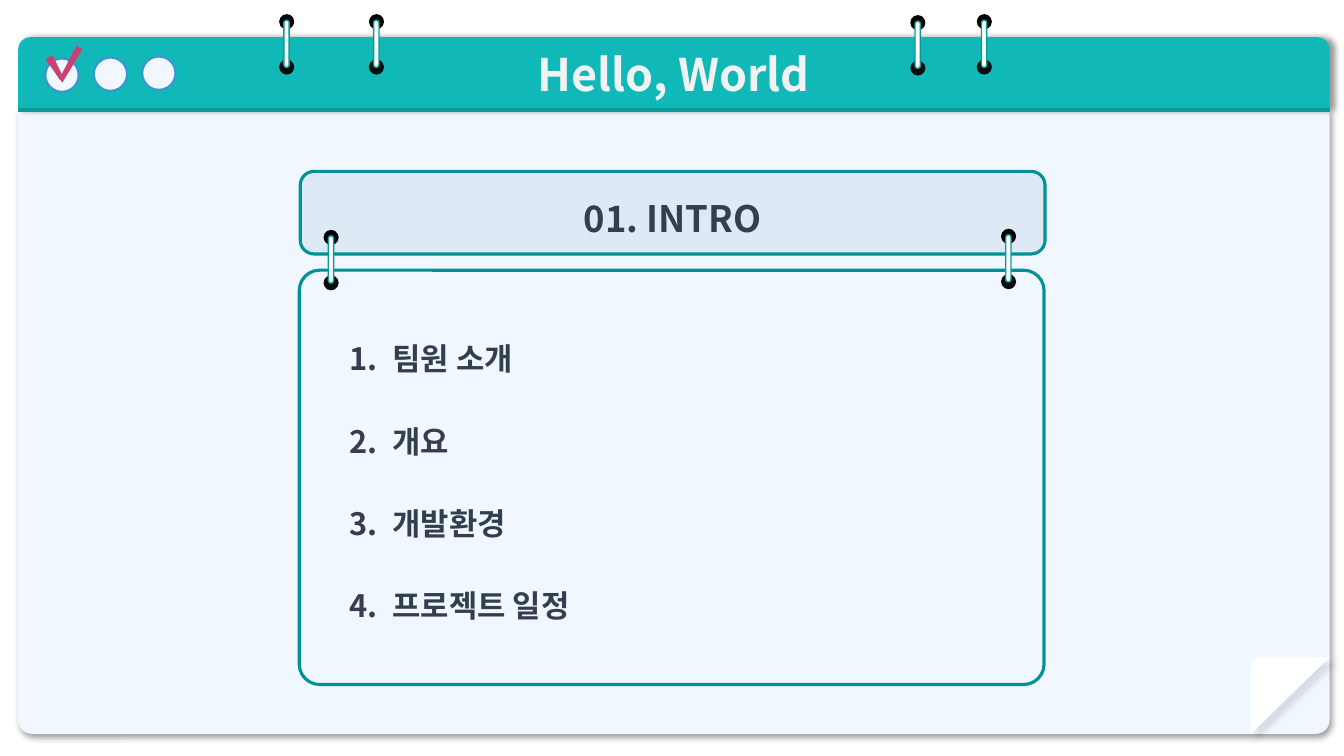
from dataclasses import dataclass

from lxml.etree import SubElement
from pptx import Presentation
from pptx.dml.color import RGBColor
from pptx.enum.shapes import MSO_CONNECTOR, MSO_SHAPE
from pptx.enum.text import MSO_ANCHOR, MSO_AUTO_SIZE, PP_ALIGN
from pptx.oxml.ns import qn
from pptx.shapes.autoshape import Shape
from pptx.slide import Slide
from pptx.text.text import TextFrame
from pptx.util import Pt

FONT = "Noto Sans CJK KR"
COLORS = {
    "page": "F0F7FF", "header": "10B8B7", "rule": "0D9A97", "heading": "F2F2F2",
    "button": "3E93D3", "check": "C84374", "white": "FFFFFF", "black": "000000",
    "ink": "0C0C0C", "card": "DDEAF6", "border": "009297", "text": "323F4F",
}
TOPICS = ["팀원 소개", "개요", "개발환경", "프로젝트 일정"]


@dataclass(frozen=True)
class Box:
    """Position and size in points."""
    left: float
    top: float
    width: float
    height: float


@dataclass(frozen=True)
class Shadow:
    """Outer shadow: opacity in percent, blur and distance in points, angle in degrees."""
    opacity: int
    blur: float
    distance: float
    angle: int


@dataclass(frozen=True)
class Ring:
    """Top left corner of a binder ring in points."""
    left: float
    top: float


PAGE = Box(13, 78.5, 936.7, 445.7)
HEADER = Box(13, 26.6, 936.7, 51.8)
INTRO = Box(214.5, 122.4, 532, 59)
AGENDA = Box(213.8, 193, 532, 295.9)
TOPIC_LIST = Box(249.5, 193, 480, 295.9)
BUTTONS = [Box(32.4 + 34.6 * step, 41.8 - 0.7 * step, 23.8, 23.8) for step in range(3)]
CHECK_SHORT = Box(36.7, 39.6, 5.8, 18)
CHECK_LONG = [(59, 35.3), (44.6, 59), (42.5, 56.2), (54.7, 32.4)]
FOLD = [(893.5, 524.2), (893.5, 475.9), (895.3, 471.2), (900, 469.4), (949.7, 469.4)]
TOP_RINGS = [Ring(263.5, 10.1), Ring(199.4, 10.1), Ring(650.2, 10.8), Ring(697.7, 10.1)]
CARD_RINGS = [Ring(715, 163.4), Ring(231.1, 164.2)]


def color(name: str) -> RGBColor:
    """Look up a named colour."""
    return RGBColor.from_string(COLORS[name])


def paint(shape: Shape, fill: str | None, line: str | None = None, weight: float = 1) -> None:
    """Set fill and outline and drop the theme shadow."""
    shape.shadow.inherit = False
    if fill:
        shape.fill.solid()
        shape.fill.fore_color.rgb = color(fill)
    else:
        shape.fill.background()
    if line:
        shape.line.color.rgb = color(line)
        shape.line.width = Pt(weight)
    else:
        shape.line.fill.background()


def add_block(slide: Slide, kind: MSO_SHAPE, box: Box, fill: str | None,
              line: str | None = None, weight: float = 1,
              corners: tuple[float, ...] = ()) -> Shape:
    """Add a painted preset shape."""
    block = slide.shapes.add_shape(
        kind, Pt(box.left), Pt(box.top), Pt(box.width), Pt(box.height))
    for index, corner in enumerate(corners):
        block.adjustments[index] = corner
    paint(block, fill, line, weight)
    return block


def add_outline(slide: Slide, points: list[tuple[float, float]], fill: str) -> Shape:
    """Add a closed, filled polygon."""
    builder = slide.shapes.build_freeform(Pt(points[0][0]), Pt(points[0][1]))
    builder.add_line_segments([(Pt(x), Pt(y)) for x, y in points[1:]], close=True)
    outline = builder.convert_to_shape()
    paint(outline, fill)
    return outline


def cast_shadow(shape: Shape, shadow: Shadow) -> None:
    """Give a painted shape an outer shadow."""
    effects = shape.element.spPr.find(qn("a:effectLst"))
    outer = SubElement(
        effects, qn("a:outerShdw"), blurRad=str(Pt(shadow.blur)),
        dist=str(Pt(shadow.distance)), dir=str(shadow.angle * 60000),
        algn="tl", rotWithShape="0")
    tint = SubElement(outer, qn("a:srgbClr"), val=COLORS["black"])
    SubElement(tint, qn("a:alpha"), val=str(shadow.opacity * 1000))


def format_text(frame: TextFrame, size: float, tint: str, align: PP_ALIGN,
                spacing: float = 1) -> None:
    """Format every run and paragraph of a text frame."""
    frame.word_wrap = True
    frame.auto_size = MSO_AUTO_SIZE.NONE
    frame.vertical_anchor = MSO_ANCHOR.MIDDLE
    for paragraph in frame.paragraphs:
        paragraph.alignment = align
        paragraph.line_spacing = spacing
        paragraph.space_before = Pt(0)
        for run in paragraph.runs:
            run.font.size = Pt(size)
            run.font.bold = True
            run.font.color.rgb = color(tint)
            run.font.name = FONT
            SubElement(run.font._element, qn("a:ea"), typeface=FONT)


def place_on_top(shape: Shape, box: Box) -> None:
    """Move a placeholder to a box, in front of everything else."""
    shape.left, shape.top = Pt(box.left), Pt(box.top)
    shape.width, shape.height = Pt(box.width), Pt(box.height)
    shape.element.getparent().append(shape.element)


def add_ring(slide: Slide, ring: Ring) -> None:
    """Add two holes joined by a rod."""
    for drop, fill in ((32.4, "ink"), (0, "black")):
        add_block(slide, MSO_SHAPE.OVAL, Box(ring.left, ring.top + drop, 10.8, 10.8), fill)
    add_block(slide, MSO_SHAPE.ROUNDED_RECTANGLE,
              Box(ring.left + 3.4, ring.top + 4.3, 3.8, 33.8), "white", "rule", 1, (0.5,))


def add_window(slide: Slide) -> None:
    """Draw the window with its header, buttons, check mark and folded corner."""
    page = add_block(slide, MSO_SHAPE.ROUND_2_SAME_RECTANGLE, PAGE, "page", corners=(0, 0.022))
    cast_shadow(page, Shadow(40, 4, 3, 45))
    header = add_block(slide, MSO_SHAPE.ROUND_2_SAME_RECTANGLE, HEADER, "header",
                       corners=(0.167, 0))
    cast_shadow(header, Shadow(40, 4, 3, 0))
    rule = slide.shapes.add_connector(
        MSO_CONNECTOR.STRAIGHT, Pt(PAGE.left), Pt(PAGE.top),
        Pt(PAGE.left + PAGE.width), Pt(PAGE.top))
    rule.line.color.rgb = color("rule")
    rule.line.width = Pt(2.5)
    SubElement(rule.element.spPr, qn("a:effectLst"))
    for button in BUTTONS:
        add_block(slide, MSO_SHAPE.OVAL, button, "page", "button", 1.5)
    check = add_block(slide, MSO_SHAPE.TRAPEZOID, CHECK_SHORT, "check", corners=(0.25,))
    check.rotation = 150
    add_outline(slide, CHECK_LONG, "check")
    cast_shadow(add_outline(slide, FOLD, "white"), Shadow(9, 4, 6, 45))


def add_cards(slide: Slide) -> None:
    """Draw the chapter card and the frame of the agenda."""
    intro = add_block(slide, MSO_SHAPE.ROUNDED_RECTANGLE, INTRO, "card", "border", 2.25, (0.167,))
    intro.text_frame.text = "01. INTRO"
    format_text(intro.text_frame, 26, "text", PP_ALIGN.CENTER, 1.25)
    add_block(slide, MSO_SHAPE.ROUNDED_RECTANGLE, AGENDA, None, "border", 2.25, (0.049,))


def fill_title(title: Shape) -> None:
    """Write the heading into the header."""
    title.text_frame.text = "Hello, World"
    format_text(title.text_frame, 32, "heading", PP_ALIGN.CENTER)
    place_on_top(title, HEADER)


def fill_topics(body: Shape) -> None:
    """Write the numbered topics."""
    frame = body.text_frame
    frame.text = "\n".join(TOPICS)
    format_text(frame, 22, "text", PP_ALIGN.LEFT, 1.25)
    frame.margin_left = Pt(0)
    for paragraph in frame.paragraphs:
        properties = paragraph._p.get_or_add_pPr()
        properties.set("marL", str(Pt(31)))
        properties.set("indent", str(-Pt(31)))
        SubElement(properties, qn("a:buFont"), typeface=FONT)
        SubElement(properties, qn("a:buAutoNum"), type="arabicPeriod")
    for paragraph in frame.paragraphs[1:]:
        paragraph.space_before = Pt(25.9)
    place_on_top(body, TOPIC_LIST)


def main() -> None:
    """Build and save the slide."""
    deck = Presentation()
    deck.slide_width, deck.slide_height = Pt(960), Pt(540)
    slide = deck.slides.add_slide(deck.slide_layouts[1])
    add_window(slide)
    add_cards(slide)
    for ring in TOP_RINGS + CARD_RINGS:
        add_ring(slide, ring)
    fill_title(slide.shapes.title)
    fill_topics(slide.placeholders[1])
    deck.save("out.pptx")


if __name__ == "__main__":
    main()
